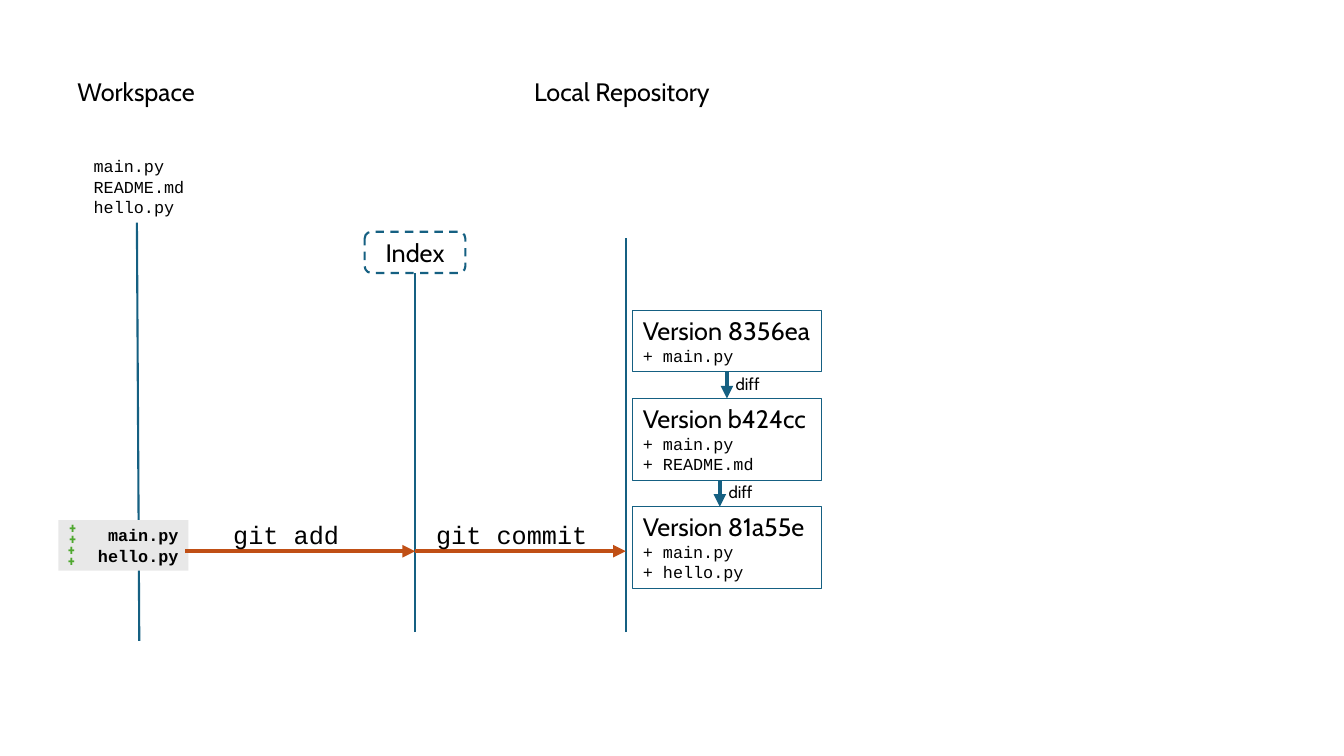
"""Build a slide showing how files move from workspace through index to local repository in git."""
from dataclasses import dataclass
from typing import Any, Optional

from lxml.etree import SubElement
from pptx import Presentation
from pptx.dml.color import RGBColor
from pptx.enum.dml import MSO_LINE
from pptx.enum.shapes import MSO_CONNECTOR, MSO_SHAPE
from pptx.enum.text import MSO_ANCHOR, MSO_AUTO_SIZE, PP_ALIGN
from pptx.oxml.ns import qn
from pptx.shapes.autoshape import Shape
from pptx.shapes.connector import Connector
from pptx.util import Cm, Pt

BLACK = RGBColor(0x00, 0x00, 0x00)
WHITE = RGBColor(0xFF, 0xFF, 0xFF)
BLUE = RGBColor(0x15, 0x60, 0x82)
ORANGE = RGBColor(0xC0, 0x4F, 0x15)
GREEN = RGBColor(0x4E, 0xA7, 0x2E)
GREY = RGBColor(0xE8, 0xE8, 0xE8)

HEADING = {"name": "Cabin", "size": Pt(18), "bold": False}
DIFF = {"name": "Cabin", "size": Pt(12), "bold": False}
FILE = {"name": "Courier New", "size": Pt(12), "bold": False}
CHANGED_FILE = {"name": "Courier New", "size": Pt(12), "bold": True}
COMMAND = {"name": "Courier New", "size": Pt(18), "bold": False}
PLUS = {"name": "Roboto Condensed", "size": Pt(10), "bold": True}

HEADER_TOP = 1.8
LINE_HEIGHT = 1.02
INDEX_X = 10.46
REPOSITORY_X = 15.77
LIFELINE_END = 15.93
COMMAND_TOP = 12.95
FLOW_Y = 13.89
VERSION_LEFT, VERSION_WIDTH = 15.95, 4.75
VERSION_TOP, VERSION_GAP = 7.82, 0.67
VERSION_BASE, FILE_HEIGHT = 1.04, 0.51


@dataclass
class Label:
    """Text with its frame in centimetres and its look."""
    left: float
    top: float
    width: float
    height: float
    lines: list[tuple[str, dict[str, Any]]]
    preset: Optional[MSO_SHAPE] = None
    fill: Optional[RGBColor] = None
    outline: Optional[dict[str, Any]] = None
    color: RGBColor = BLACK
    align: PP_ALIGN = PP_ALIGN.LEFT
    anchor: MSO_ANCHOR = MSO_ANCHOR.TOP
    wrap: bool = False
    grow: bool = True
    spacing: Optional[Pt] = None


@dataclass
class Version:
    """One commit with its files and the x of the arrow leading to the next."""
    commit: str
    files: list[str]
    arrow_x: Optional[float] = None


@dataclass
class Link:
    """A straight line between two points in centimetres."""
    start: tuple[float, float]
    end: tuple[float, float]
    color: RGBColor = BLUE
    width: float = 1.5
    arrow: bool = False


def draw_label(shapes: Any, label: Label) -> Shape:
    """Draw a text box or a shape carrying text."""
    frame = [Cm(v) for v in (label.left, label.top, label.width, label.height)]
    if label.preset is None:
        shape = shapes.add_textbox(*frame)
    else:
        shape = shapes.add_shape(label.preset, *frame)
        shape.shadow.inherit = False
        if label.fill is None:
            shape.fill.background()
        else:
            shape.fill.solid()
            shape.fill.fore_color.rgb = label.fill
        if label.outline is None:
            shape.line.fill.background()
        else:
            shape.line.color.rgb = BLUE
            for name, value in label.outline.items():
                setattr(shape.line, name, value)
    text = shape.text_frame
    settings = {
        "word_wrap": label.wrap,
        "vertical_anchor": label.anchor,
        "auto_size": MSO_AUTO_SIZE.SHAPE_TO_FIT_TEXT if label.grow else MSO_AUTO_SIZE.NONE,
    }
    for name, value in settings.items():
        setattr(text, name, value)
    for number, (words, style) in enumerate(label.lines):
        paragraph = text.add_paragraph() if number else text.paragraphs[0]
        paragraph.alignment = label.align
        paragraph.line_spacing = label.spacing
        run = paragraph.add_run()
        run.text = words
        run.font.color.rgb = label.color
        for name, value in style.items():
            setattr(run.font, name, value)
    return shape


def draw_link(shapes: Any, link: Link) -> Connector:
    """Draw a line, with an arrowhead at its end if asked for."""
    points = [Cm(v) for v in (*link.start, *link.end)]
    connector = shapes.add_connector(MSO_CONNECTOR.STRAIGHT, *points)
    connector.line.color.rgb = link.color
    connector.line.width = Pt(link.width)
    if link.arrow:
        SubElement(connector.line._get_or_add_ln(), qn("a:tailEnd"), type="triangle")
    SubElement(connector._element.spPr, qn("a:effectLst"))
    return connector


def draw_versions(shapes: Any, versions: list[Version]) -> None:
    """Stack the commits and join them with diff arrows."""
    top = VERSION_TOP
    boxes = []
    for version in versions:
        height = VERSION_BASE + FILE_HEIGHT * len(version.files)
        lines = [(f"Version {version.commit}", HEADING)]
        lines += [(f"+ {name}", FILE) for name in version.files]
        boxes.append(draw_label(shapes, Label(
            VERSION_LEFT, top, VERSION_WIDTH, height, lines,
            MSO_SHAPE.RECTANGLE, outline={"width": Pt(0.75)})))
        bottom = top + height
        top = bottom + VERSION_GAP
        if version.arrow_x is not None:
            x = version.arrow_x
            draw_link(shapes, Link((x, bottom), (x, top), width=3, arrow=True))
            draw_label(shapes, Label(x - 0.03, bottom - 0.08, 1.12, 0.76, [("diff", DIFF)]))


def main() -> None:
    """Draw the slide and save it."""
    deck = Presentation()
    deck.slide_width, deck.slide_height = Cm(33.87), Cm(19.05)
    shapes = deck.slides.add_slide(deck.slide_layouts[6]).shapes

    draw_label(shapes, Label(1.7, HEADER_TOP, 3.63, LINE_HEIGHT, [("Workspace", HEADING)]))
    draw_label(shapes, Label(13.21, HEADER_TOP, 5.13, LINE_HEIGHT,
                             [("Local Repository", HEADING)]))
    draw_link(shapes, Link((3.51, 16.15), (3.45, 5.61)))
    index = draw_label(shapes, Label(
        INDEX_X - 1.27, 5.84, 2.54, 1.04, [("Index", HEADING)],
        MSO_SHAPE.ROUNDED_RECTANGLE, WHITE,
        {"width": Pt(1.5), "dash_style": MSO_LINE.DASH},
        align=PP_ALIGN.CENTER, anchor=MSO_ANCHOR.MIDDLE, wrap=True, grow=False))
    index_line = draw_link(shapes, Link((INDEX_X, LIFELINE_END), (INDEX_X, 6.88)))
    index_line.end_connect(index, 2)
    draw_link(shapes, Link((REPOSITORY_X, LIFELINE_END), (REPOSITORY_X, 5.99)))

    workspace_files = ["main.py", "README.md", "hello.py"]
    draw_label(shapes, Label(2.11, 3.81, 2.84, 1.8, [(name, FILE) for name in workspace_files]))

    changes = shapes.add_group_shape().shapes
    draw_label(changes, Label(
        1.47, 13.11, 3.28, 1.27, [(name, CHANGED_FILE) for name in ("main.py", "hello.py")],
        MSO_SHAPE.RECTANGLE, GREY, align=PP_ALIGN.RIGHT, wrap=True))
    for left, top in ((1.5, 13.11), (1.47, 13.67)):
        draw_label(changes, Label(left, top, 0.71, 0.84, [("+", PLUS)] * 2,
                                  color=GREEN, spacing=Pt(8)))

    for command, start, end, left, width, wrap in (
            ("git add", 4.67, INDEX_X, 5.61, 3.2, False),
            ("git commit", INDEX_X, REPOSITORY_X, 10.52, 4.75, True)):
        draw_link(shapes, Link((start, FLOW_Y), (end, FLOW_Y), ORANGE, 3, True))
        draw_label(shapes, Label(left, COMMAND_TOP, width, LINE_HEIGHT, [(command, COMMAND)],
                                 align=PP_ALIGN.CENTER, wrap=wrap))

    draw_versions(shapes, [
        Version("8356ea", ["main.py"], 18.32),
        Version("b424cc", ["main.py", "README.md"], 18.14),
        Version("81a55e", ["main.py", "hello.py"]),
    ])
    deck.save("out.pptx")


if __name__ == "__main__":
    main()
